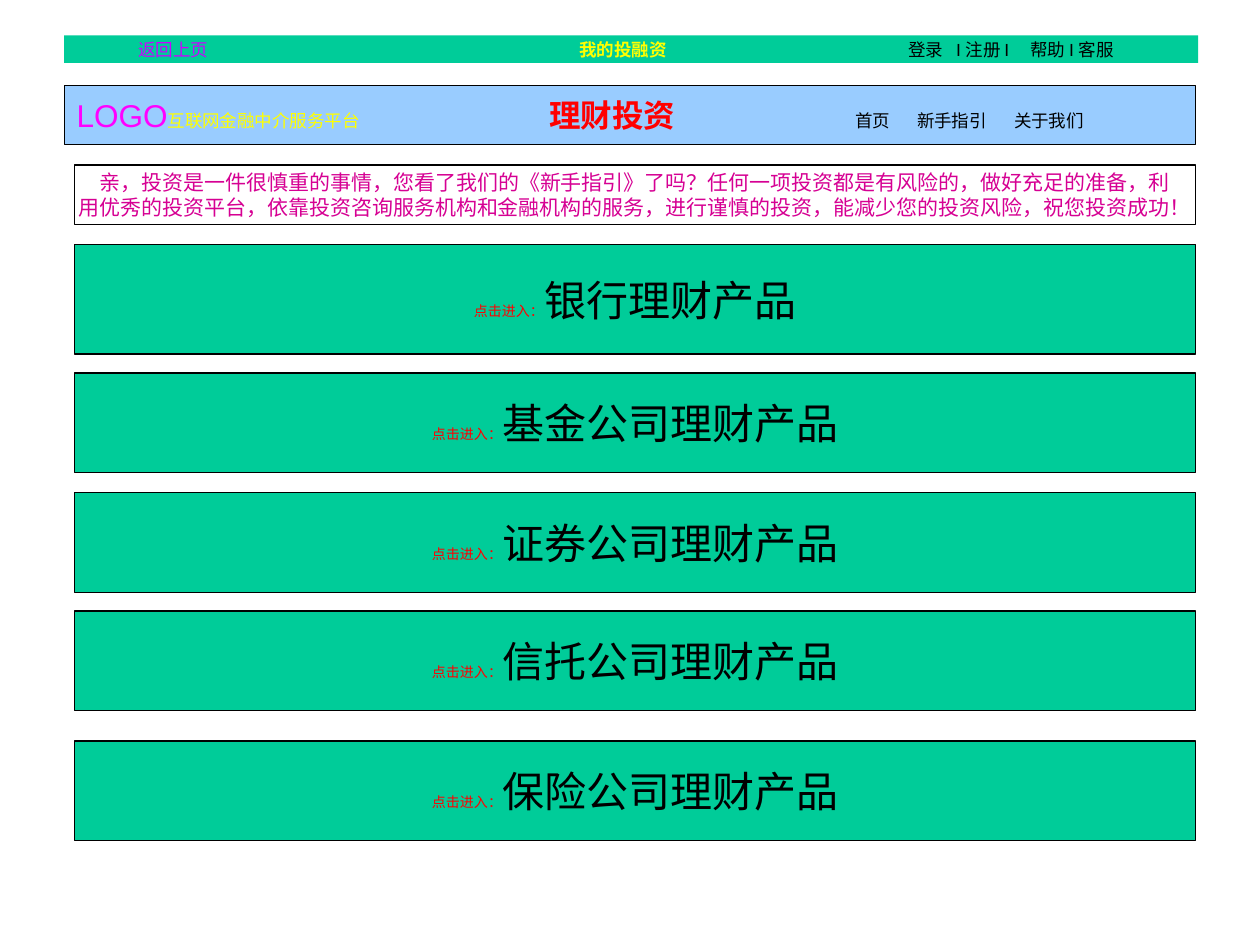
import pptx
import pptx.util
import pptx.dml.color
import pptx.enum.shapes
import pptx.enum.text
import pptx.oxml
import pptx.oxml.ns

Inches = pptx.util.Inches
Pt = pptx.util.Pt
ALIGN = pptx.enum.text.PP_ALIGN

COLORS = {
    "green": "00CC99",
    "blue": "99CCFF",
    "black": "000000",
    "red": "FF0000",
    "yellow": "FFFF00",
    "violet": "CC00FF",
    "magenta": "FF00FF",
    "rose": "D60093",
}


def rgb(name):
    """Return the palette colour as an RGBColor."""
    return pptx.dml.color.RGBColor.from_string(COLORS[name])


def add_box(slide, left, top, width, height, fill=None, line="black", wrap=False):
    """Add a rectangle and return its text frame, anchored in the middle."""
    sp = slide.shapes.add_shape(
        pptx.enum.shapes.MSO_SHAPE.RECTANGLE,
        Inches(left), Inches(top), Inches(width), Inches(height))
    sp.shadow.inherit = False
    if fill:
        sp.fill.solid()
        sp.fill.fore_color.rgb = rgb(fill)
    else:
        sp.fill.background()
    if line:
        sp.line.color.rgb = rgb(line)
        sp.line.width = Pt(0.75)
    else:
        sp.line.fill.background()
    tf = sp.text_frame
    tf.word_wrap = wrap
    tf.vertical_anchor = pptx.enum.text.MSO_ANCHOR.MIDDLE
    return tf


def add_text(p, text, size=10, color="black", font="Arial", bold=False):
    """Append a formatted run to a paragraph."""
    r = p.add_run()
    r.text = text
    r.font.size = Pt(size)
    r.font.name = font
    r.font.bold = bold
    r.font.color.rgb = rgb(color)


def set_tabs(p, stops):
    """Left-align a paragraph and give it left tab stops in inches."""
    p.alignment = ALIGN.LEFT
    tabs = pptx.oxml.parse_xml("<a:tabLst %s/>" % pptx.oxml.ns.nsdecls("a"))
    for stop in stops:
        tab = tabs.makeelement(pptx.oxml.ns.qn("a:tab"),
                               {"pos": str(Inches(stop)), "algn": "l"})
        tabs.append(tab)
    p._p.get_or_add_pPr().append(tabs)


def add_top_bar(slide):
    """Add the account bar along the top."""
    p = add_box(slide, 0.51, 0.28, 9, 0.22, "green", None, wrap=True).paragraphs[0]
    set_tabs(p, [0.49, 3.99, 6.6, 6.98, 7.57])
    add_text(p, "\t返回上页", color="violet")
    add_text(p, "\t我的投融资", color="yellow", bold=True)
    add_text(p, "\t登录\tI 注册 I\t帮助 I 客服")


def add_header(slide):
    """Add the site header with its title and navigation."""
    p = add_box(slide, 0.51, 0.68, 8.98, 0.47, "blue", wrap=True).paragraphs[0]
    set_tabs(p, [3.75, 6.18, 6.67, 7.44])
    add_text(p, "LOGO", size=18, color="magenta")
    add_text(p, "互联网金融中介服务平台", color="yellow")
    add_text(p, "\t理财投资", size=18, color="red", bold=True)
    add_text(p, "\t首页\t新手指引\t关于我们")


def add_notice(slide):
    """Add the two-line investment notice."""
    tf = add_box(slide, 0.59, 1.31, 8.9, 0.47)
    lines = [
        "亲，投资是一件很慎重的事情，您看了我们的《新手指引》了吗？任何一项投资都是有风险的，做好充足的准备，利",
        "用优秀的投资平台，依靠投资咨询服务机构和金融机构的服务，进行谨慎的投资，能减少您的投资风险，祝您投资成功！",
    ]
    for i, line in enumerate(lines):
        p = tf.add_paragraph() if i else tf.paragraphs[0]
        p.alignment = ALIGN.CENTER
        add_text(p, line, size=12, color="rose", font="Times New Roman")


def add_product(slide, name, top, height):
    """Add an entry button for one product category."""
    p = add_box(slide, 0.59, top, 8.9, height, "green").paragraphs[0]
    p.alignment = ALIGN.CENTER
    add_text(p, "点击进入：", size=8, color="red", font="Times New Roman")
    add_text(p, name, size=24, font="Times New Roman")


def main():
    """Build the slide and save it."""
    prs = pptx.Presentation()
    prs.slide_width, prs.slide_height = Inches(10), Inches(7.5)
    slide = prs.slides.add_slide(prs.slide_layouts[6])
    add_top_bar(slide)
    add_header(slide)
    add_notice(slide)
    products = [("银行", 1.94, 0.87), ("基金公司", 2.96, 0.79), ("证券公司", 3.91, 0.79),
                ("信托公司", 4.85, 0.79), ("保险公司", 5.88, 0.79)]
    for issuer, top, height in products:
        add_product(slide, issuer + "理财产品", top, height)
    prs.save("out.pptx")


if __name__ == "__main__":
    main()
